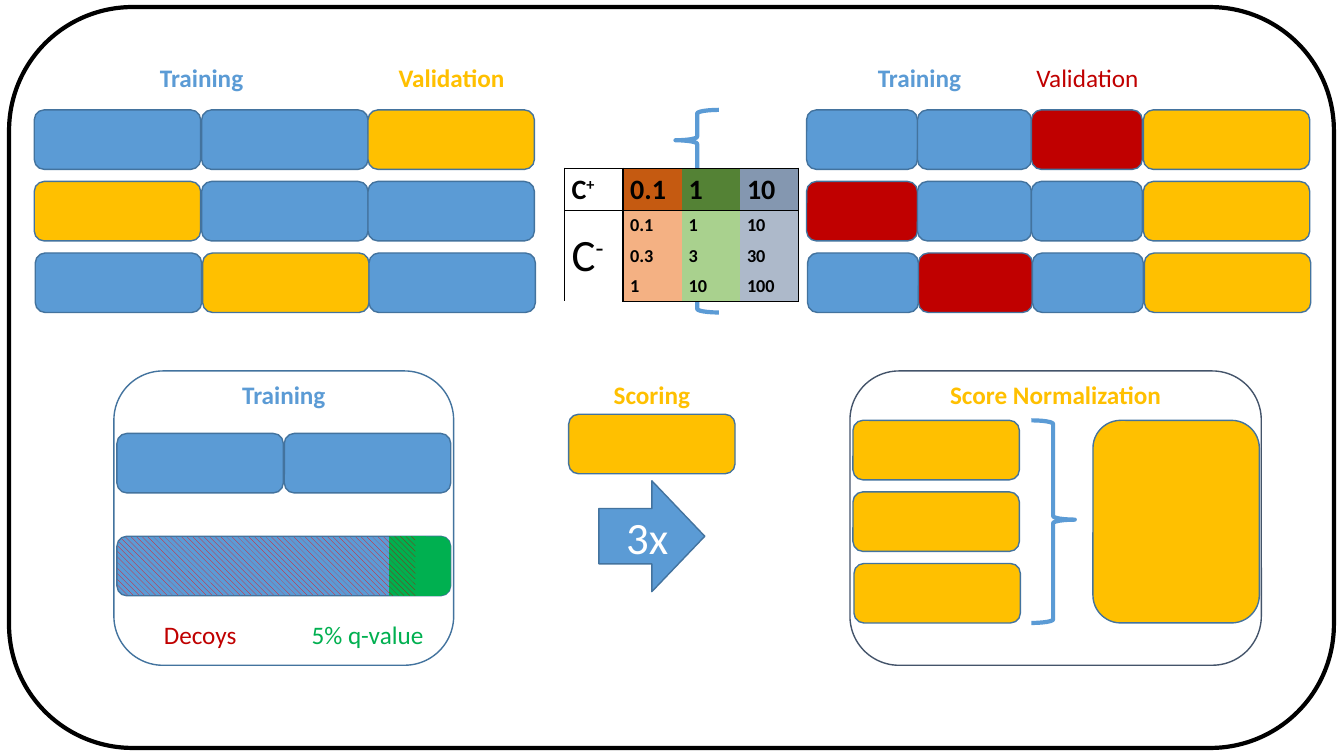
"""Build a slide on nested cross-validation, scoring and score normalization."""
from pptx import Presentation
from pptx.dml.color import RGBColor
from pptx.enum.dml import MSO_PATTERN
from pptx.enum.shapes import MSO_SHAPE
from pptx.enum.text import MSO_ANCHOR, PP_ALIGN
from pptx.oxml import parse_xml
from pptx.oxml.ns import nsdecls
from pptx.util import Inches, Pt

BLUE = RGBColor(0x5B, 0x9B, 0xD5)
EDGE = RGBColor(0x43, 0x73, 0x9E)
GOLD = RGBColor(0xFF, 0xC0, 0x00)
DARK_RED = RGBColor(0xC0, 0x00, 0x00)
RED = RGBColor(0xFF, 0x00, 0x00)
GREEN = RGBColor(0x00, 0xB0, 0x50)
SLATE = RGBColor(0x44, 0x54, 0x6A)
BLACK = RGBColor(0x00, 0x00, 0x00)
WHITE = RGBColor(0xFF, 0xFF, 0xFF)
HEAD_FILLS = [RGBColor(0xC5, 0x5A, 0x11), RGBColor(0x54, 0x82, 0x35), RGBColor(0x84, 0x97, 0xB0)]
BODY_FILLS = [RGBColor(0xF4, 0xB1, 0x83), RGBColor(0xA9, 0xD1, 0x8E), RGBColor(0xAD, 0xB9, 0xCA)]

BLOCK_W, BLOCK_H, ROW_STEP = 1.65, 0.59, 0.71
GRID_TOP, GRID_H = 1.09, 2.01

prs = Presentation()
prs.slide_width, prs.slide_height = Inches(13.33), Inches(7.5)
s = prs.slides.add_slide(prs.slide_layouts[6])


def add_shape(x, y, w, h, fill=None, line=EDGE, width=1, kind=MSO_SHAPE.ROUNDED_RECTANGLE):
    sp = s.shapes.add_shape(kind, Inches(x), Inches(y), Inches(w), Inches(h))
    sp.shadow.inherit = False
    if isinstance(fill, tuple) and not isinstance(fill, RGBColor):
        sp.fill.patterned()
        sp.fill.pattern = MSO_PATTERN.WIDE_DOWNWARD_DIAGONAL
        sp.fill.fore_color.rgb, sp.fill.back_color.rgb = fill
    elif fill is not None:
        sp.fill.solid()
        sp.fill.fore_color.rgb = fill
    else:
        sp.fill.background()
    if line is not None:
        sp.line.color.rgb = line
        sp.line.width = Pt(width)
    else:
        sp.line.fill.background()
    return sp


def set_font(p, size, color, bold):
    p.font.name = "Calibri"
    p.font.size = Pt(size)
    p.font.bold = bold
    p.font.color.rgb = color


for x, y, tip, turn in [(6.7, GRID_TOP, 0.15, 0), (10.23, 4.17, 0.51, 180)]:
    sp = add_shape(x, y, 0.43, GRID_H, None, BLUE, 3, MSO_SHAPE.LEFT_BRACE)
    sp.adjustments[0], sp.adjustments[1] = 0.083, tip
    sp.rotation = turn

costs = [["C", "0.1", "1", "10"],
         ["C", "0.1", "1", "10"],
         ["", "0.3", "3", "30"],
         ["", "1", "10", "100"]]
table = s.shapes.add_table(4, 4, Inches(5.6), Inches(1.67), Inches(2.32), Inches(1.28)).table
for col in table.columns:
    col.width = Inches(0.58)
for i, row in enumerate(table.rows):
    row.height = Inches(0.29 if i else 0.41)
table.cell(1, 0).merge(table.cell(3, 0))
for i, values in enumerate(costs):
    for j, value in enumerate(values):
        cell = table.cell(i, j)
        cell.margin_left = cell.margin_right = Inches(0.07)
        cell.margin_top = cell.margin_bottom = Inches(0.04)
        sides = {"L": j < 2, "R": j in (0, 3), "T": i < 2, "B": i in (0, 3)}
        for side, drawn in sides.items():
            paint = '<a:solidFill><a:srgbClr val="000000"/></a:solidFill>' if drawn else "<a:noFill/>"
            cell._tc.get_or_add_tcPr().append(
                parse_xml(f'<a:ln{side} {nsdecls("a")} w="12700">{paint}</a:ln{side}>'))
        cell.fill.solid()
        fills = BODY_FILLS if i else HEAD_FILLS
        cell.fill.fore_color.rgb = fills[j - 1] if j else WHITE
        p = cell.text_frame.paragraphs[0]
        size = 20 if i == 0 else 13 if j else 32
        set_font(p, size, BLACK, i == 0 or j > 0)
        if value:
            p.add_run().text = value
        if value == "C":
            r = p.add_run()
            r.text = "-" if i else "+"
            r._r.get_or_add_rPr().set("baseline", "30000")
table.cell(1, 0).vertical_anchor = MSO_ANCHOR.MIDDLE

outer_lefts = [0.34, 2, 3.65]
inner_blocks = [(8, 1.1), (9.1, 1.13), (10.23, 1.1)]
for i, (outer_held, inner_held) in enumerate([(2, 2), (0, 0), (1, 1)]):
    y = GRID_TOP + i * ROW_STEP
    nudge = 0.01 if i == 2 else 0
    for j, x in enumerate(outer_lefts):
        add_shape(x + nudge, y, BLOCK_W, BLOCK_H, GOLD if j == outer_held else BLUE)
    for j, (x, w) in enumerate(inner_blocks):
        add_shape(x + nudge, y, w, BLOCK_H, DARK_RED if j == inner_held else BLUE)
    add_shape(11.34 + nudge, y, BLOCK_W, BLOCK_H, GOLD)
    add_shape(8.46 + nudge, 4.17 + i * ROW_STEP, BLOCK_W, BLOCK_H, GOLD)

add_shape(10.84, 4.17, BLOCK_W, GRID_H, GOLD)
add_shape(8.43, 3.68, 4.08, 2.92, line=SLATE)
add_shape(0.09, 0.07, 13.14, 7.35, line=BLACK, width=3)
add_shape(1.13, 3.68, 3.37, 2.92)

add_shape(1.16, 5.32, 3.31, BLOCK_H, (RED, BLUE))
add_shape(3.86, 5.32, 0.61, BLOCK_H, GREEN, None)
add_shape(3.86, 5.32, 0.26, BLOCK_H, (DARK_RED, GREEN), None, kind=MSO_SHAPE.RECTANGLE)
for x in (1.16, 2.82):
    add_shape(x, 4.3, BLOCK_W, BLOCK_H, BLUE)

add_shape(5.64, 4.11, BLOCK_W, BLOCK_H, GOLD)
arrow = add_shape(5.94, 4.77, 1.05, 1.1, BLUE, kind=MSO_SHAPE.RIGHT_ARROW)
arrow.text_frame.vertical_anchor = MSO_ANCHOR.MIDDLE
p = arrow.text_frame.paragraphs[0]
p.text = "3x"
p.alignment = PP_ALIGN.RIGHT
set_font(p, 32, WHITE, False)

labels = [("Training", 0.35, 0.57, 3.3, BLUE, True),
          ("Validation", 3.65, 0.57, 1.66, GOLD, True),
          ("Training", 8, 0.57, 2.24, BLUE, True),
          ("Validation", 10.14, 0.57, 1.29, DARK_RED, False),
          ("Training", 1.16, 3.71, 3.31, BLUE, True),
          ("Scoring", 5.64, 3.71, 1.65, GOLD, True),
          ("Score Normalization", 8.46, 3.71, 4.02, GOLD, True),
          ("Decoys", 1.16, 6.09, 1.65, DARK_RED, False),
          ("5% q-value", 2.82, 6.09, 1.65, GREEN, False)]
for text, x, y, w, color, bold in labels:
    tf = s.shapes.add_textbox(Inches(x), Inches(y), Inches(w), Inches(0.4)).text_frame
    tf.word_wrap = True
    p = tf.paragraphs[0]
    p.text = text
    p.alignment = PP_ALIGN.CENTER
    set_font(p, 18, color, bold)

prs.save("out.pptx")
